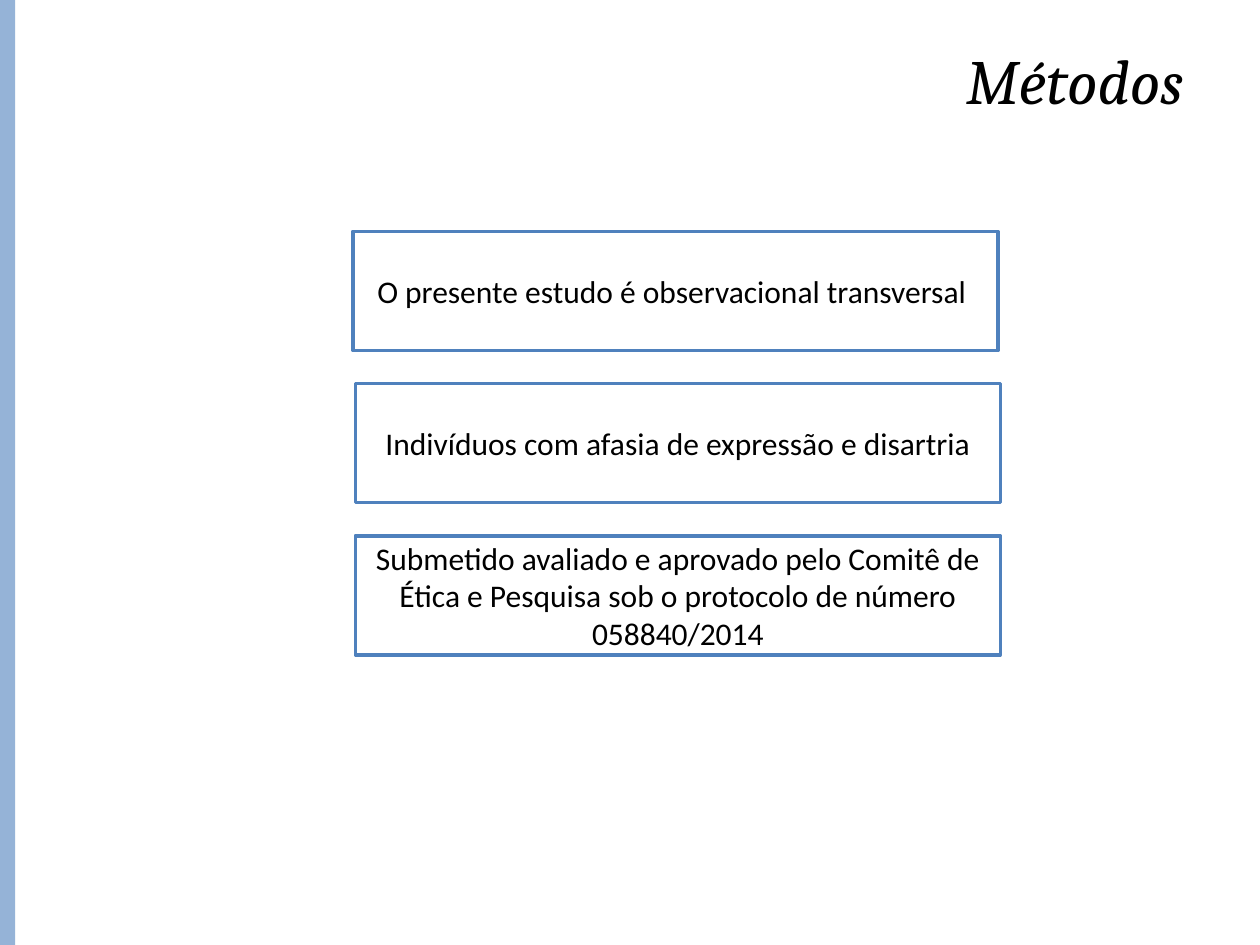
import dataclasses

import pptx
import pptx.dml.color
import pptx.enum.shapes
import pptx.enum.text
import pptx.util

RGBColor = pptx.dml.color.RGBColor
BLACK = RGBColor(0x00, 0x00, 0x00)
WHITE = RGBColor(0xFF, 0xFF, 0xFF)
BLUE = RGBColor(0x4F, 0x81, 0xBD)
PALE = RGBColor(0x95, 0xB3, 0xD7)

WIDE = pptx.util.Inches(10)
HIGH = pptx.util.Inches(7.5)
TOP = 0.245
STEP = 0.161


@dataclasses.dataclass(frozen=True)
class Step:
    """One boxed statement, with its left edge as a share of the slide width."""
    text: str
    left: float = 0.282


STEPS = (
    Step("O presente estudo é observacional transversal ", 0.28),
    Step("Indivíduos com afasia de expressão e disartria"),
    Step("Submetido avaliado e aprovado pelo Comitê de Ética e Pesquisa "
         "sob o protocolo de número 058840/2014"),
)


def place(shape, left: float, top: float, width: float, height: float) -> None:
    """Set a shape's frame from shares of the slide size."""
    shape.left, shape.top = int(left * WIDE), int(top * HIGH)
    shape.width, shape.height = int(width * WIDE), int(height * HIGH)


def write(shape, text: str, face: str, size: int, align, anchor) -> None:
    """Put one black paragraph into a shape."""
    frame = shape.text_frame
    frame.word_wrap = True
    frame.auto_size = pptx.enum.text.MSO_AUTO_SIZE.NONE
    frame.vertical_anchor = anchor
    frame.text = text
    para = frame.paragraphs[0]
    para.alignment = align
    para.font.name = face
    para.font.size = pptx.util.Pt(size)
    para.font.color.rgb = BLACK


def add_rect(slide, fill: RGBColor, left: float, top: float, width: float, height: float):
    """Add a flat rectangle without an outline."""
    rect = slide.shapes.add_shape(pptx.enum.shapes.MSO_SHAPE.RECTANGLE, 0, 0, 0, 0)
    place(rect, left, top, width, height)
    rect.shadow.inherit = False
    rect.fill.solid()
    rect.fill.fore_color.rgb = fill
    rect.line.fill.background()
    return rect


def add_step(slide, step: Step, row: int) -> None:
    """Draw one statement box on its row."""
    box = add_rect(slide, WHITE, step.left, TOP + row * STEP, 0.512, 0.126)
    box.line.color.rgb = BLUE
    box.line.width = pptx.util.Pt(2)
    write(box, step.text, "Calibri", 18, pptx.enum.text.PP_ALIGN.CENTER,
          pptx.enum.text.MSO_ANCHOR.MIDDLE)


def main() -> None:
    """Build and save the methods slide."""
    deck = pptx.Presentation()
    deck.slide_width, deck.slide_height = WIDE, HIGH
    slide = deck.slides.add_slide(deck.slide_layouts[5])
    add_rect(slide, PALE, 0, 0, 0.012, 1)
    title = slide.shapes.title
    place(title, 0.177, 0.037, 0.772, 0.093)
    write(title, "Métodos", "Cambria", 36, pptx.enum.text.PP_ALIGN.RIGHT,
          pptx.enum.text.MSO_ANCHOR.TOP)
    title.text_frame.paragraphs[0].font.italic = True
    for row, step in enumerate(STEPS):
        add_step(slide, step, row)
    deck.save("out.pptx")


if __name__ == "__main__":
    main()
